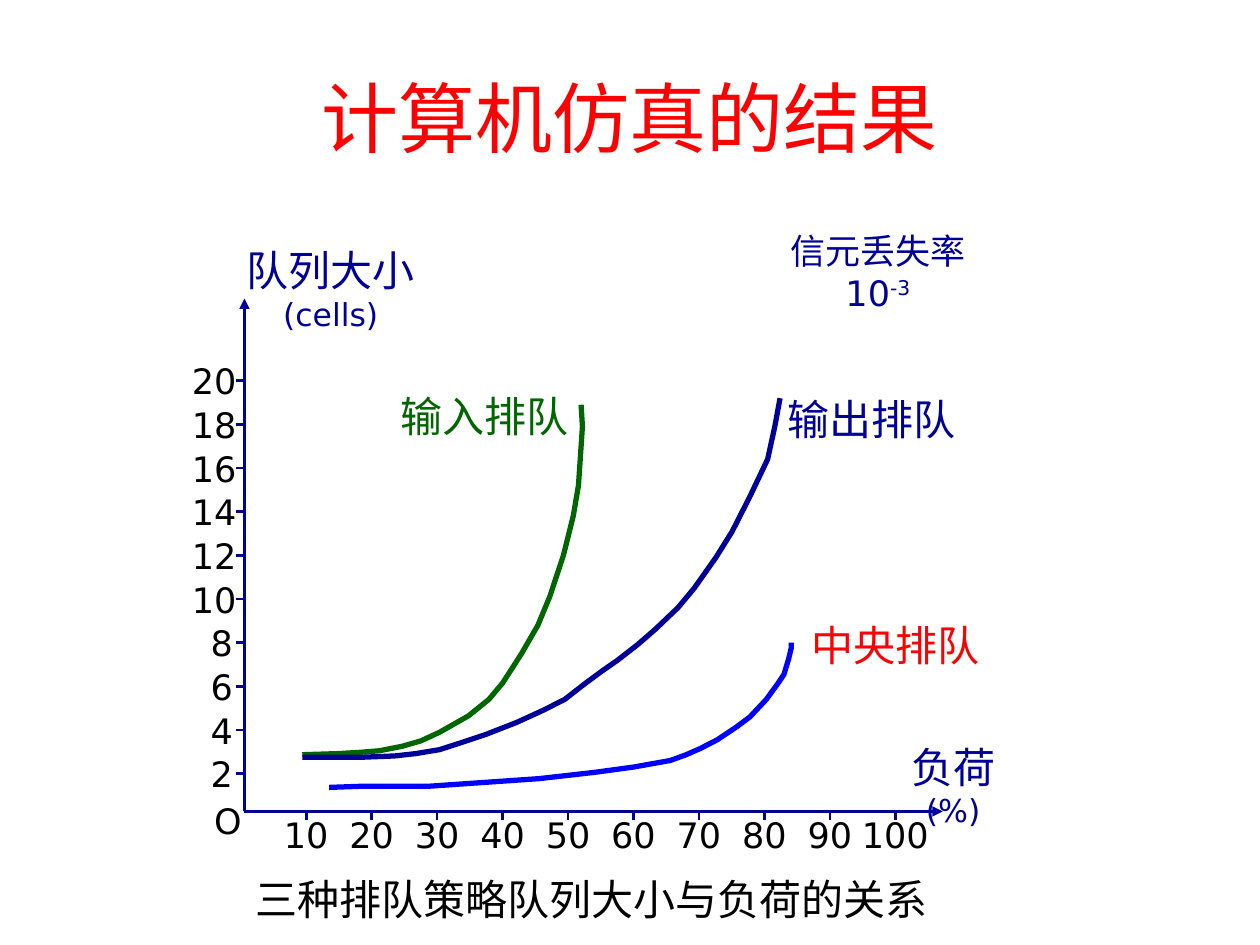
from lxml.etree import SubElement
from pptx import Presentation
from pptx.dml.color import RGBColor
from pptx.enum.shapes import MSO_CONNECTOR
from pptx.enum.text import MSO_ANCHOR, PP_ALIGN
from pptx.oxml.ns import qn
from pptx.util import Pt

RED = RGBColor(0xFF, 0, 0)
NAVY = RGBColor(0, 0, 0x99)
BLUE = RGBColor(0, 0, 0xFF)
GREEN = RGBColor(0, 0x66, 0)
BLACK = RGBColor(0, 0, 0)

SANS, CJK, BODY = "DejaVu Sans", "Noto Sans CJK SC", "Calibri"

# Curves as (load in %, queue size in cells)
INPUT = [
    (52, 18.9), (52.2, 17.9), (51.6, 15.2), (50.8, 13.8), (49.3, 12),
    (47.2, 10.1), (45.4, 8.8), (42.9, 7.5), (41.4, 6.8), (40, 6.15),
    (37.9, 5.4), (34.8, 4.65), (30.4, 3.9), (27.5, 3.5), (24.6, 3.25),
    (21.2, 3.05), (18.3, 2.98), (15, 2.92), (9.4, 2.87)]
OUTPUT = [
    (82.4, 19.2), (81.6, 17.9), (80.5, 16.4), (77.8, 14.7), (75.1, 13.1),
    (72.6, 11.9), (69.3, 10.5), (66.8, 9.6), (63.3, 8.6), (60.6, 7.9),
    (57.6, 7.2), (55.2, 6.7), (52.5, 6.1), (49.5, 5.4), (46.2, 4.9),
    (42.2, 4.35), (37.5, 3.8), (33.5, 3.4), (30.4, 3.1), (26.8, 2.92),
    (23.5, 2.81), (18.3, 2.75), (9.4, 2.75)]
CENTRAL = [
    (13.5, 1.37), (18.5, 1.42), (28.7, 1.42), (45.6, 1.77), (54.1, 2.06),
    (60, 2.3), (65.6, 2.6), (68.1, 2.87), (70.2, 3.15), (72.8, 3.55),
    (75.8, 4.15), (77.8, 4.6), (80.3, 5.4), (82, 6.1), (83, 6.55),
    (83.7, 7.25), (84.1, 7.75), (84.1, 8)]


def add_run(para, text, size, color, font, raised=False):
    run = para.add_run()
    run.text = text
    run.font.size = Pt(size)
    run.font.color.rgb = color
    run.font.name = font
    props = run.font._element
    SubElement(props, qn("a:ea")).set("typeface", font)
    if raised:
        props.set("baseline", "30000")


def add_frame(slide, box, anchor=MSO_ANCHOR.MIDDLE, wrap=True, inset=True):
    frame = slide.shapes.add_textbox(*map(Pt, box)).text_frame
    frame.word_wrap = wrap
    frame.vertical_anchor = anchor
    if not inset:
        frame.margin_left = frame.margin_right = 0
        frame.margin_top = frame.margin_bottom = 0
    return frame


def add_label(slide, x, y, text, size, color, font):
    """Write a label centred on (x, y) and return its frame."""
    wide, high = size * len(text), size * 1.2
    box = (x - wide / 2, y - high / 2, wide, high)
    frame = add_frame(slide, box, wrap=False, inset=False)
    para = frame.paragraphs[0]
    para.alignment = PP_ALIGN.CENTER
    add_run(para, text, size, color, font)
    return frame


def add_line(slide, x1, y1, x2, y2, arrow=False):
    line = slide.shapes.add_connector(
        MSO_CONNECTOR.STRAIGHT, Pt(x1), Pt(y1), Pt(x2), Pt(y2))
    line.line.color.rgb = NAVY
    line.line.width = Pt(1.5)
    if arrow:
        SubElement(line.line._get_or_add_ln(), qn("a:tailEnd")).set("type", "triangle")
    SubElement(line._element.spPr, qn("a:effectLst"))


def add_curve(slide, points, color):
    start, *rest = [(Pt(x), Pt(y)) for x, y in points]
    pen = slide.shapes.build_freeform(*start)
    pen.add_line_segments(rest, close=False)
    curve = pen.convert_to_shape()
    curve.shadow.inherit = False
    curve.fill.background()
    curve.line.color.rgb = color
    curve.line.width = Pt(3)


def add_title(slide, box):
    para = add_frame(slide, box).paragraphs[0]
    para.alignment = PP_ALIGN.CENTER
    add_run(para, "计算机仿真的结果", 44, RED, BODY)


def add_caption(slide, box):
    para = add_frame(slide, box, MSO_ANCHOR.TOP).paragraphs[0]
    add_run(para, "三种排队策略队列大小与负荷的关系", 24, BLACK, BODY)


def add_plot(slide, box):
    """Draw axes, ticks, curves and labels; the box spans the two axes."""
    left, top, width, height = box
    base = top + height

    def to_x(load):
        return left + 35.3 + (load - 10) * 3.74

    def to_y(size):
        return base - 21.6 - (size - 2) * 12.475

    add_line(slide, left, base, left, top, arrow=True)
    add_line(slide, left, base, left + width, base, arrow=True)
    add_label(slide, left - 9.4, base + 5, "O", 20, BLACK, SANS)
    for load in range(10, 101, 10):
        x = to_x(load)
        add_line(slide, x, base + 5, x, base)
        add_label(slide, x, base + 13.4, str(load), 20, BLACK, SANS)
    for size in range(2, 21, 2):
        y, text = to_y(size), str(size)
        add_line(slide, left - 5, y, left, y)
        add_label(slide, left - 8.7 - 4.3 * len(text), y, text, 20, BLACK, SANS)

    for data, color in ((INPUT, GREEN), (OUTPUT, NAVY), (CENTRAL, BLUE)):
        add_curve(slide, [(to_x(load), to_y(size)) for load, size in data], color)
    for text, color, x, y in (("输入排队", GREEN, 137, 67),
                              ("输出排队", NAVY, 358.3, 68.5),
                              ("中央排队", RED, 372, 198)):
        add_label(slide, left + x, top + y, text, 24, color, CJK)

    frame = add_label(slide, left + 49.3, top - 5.7, "队列大小", 24, NAVY, SANS)
    para = frame.add_paragraph()
    para.alignment = PP_ALIGN.CENTER
    add_run(para, "(cells)", 18, NAVY, SANS)

    frame = add_label(slide, left + width + 6, base - 15, "负荷", 24, NAVY, SANS)
    para = frame.paragraphs[0]
    para.add_line_break()
    add_run(para, "(%)", 18, NAVY, SANS)

    frame = add_label(slide, left + 362, top - 15.5, "信元丢失率 ", 20, NAVY, CJK)
    para = frame.paragraphs[0]
    add_run(para, "10", 20, NAVY, SANS)
    add_run(para, "-3", 20, NAVY, SANS, raised=True)


def main():
    deck = Presentation()
    deck.slide_width, deck.slide_height = Pt(720), Pt(540)
    slide = deck.slides.add_slide(deck.slide_layouts[6])
    add_title(slide, (36, 21.6, 648, 90))
    add_caption(slide, (139, 495.4, 580, 44.6))
    add_plot(slide, (139.7, 170.6, 399, 293.1))
    deck.save("out.pptx")


if __name__ == "__main__":
    main()
